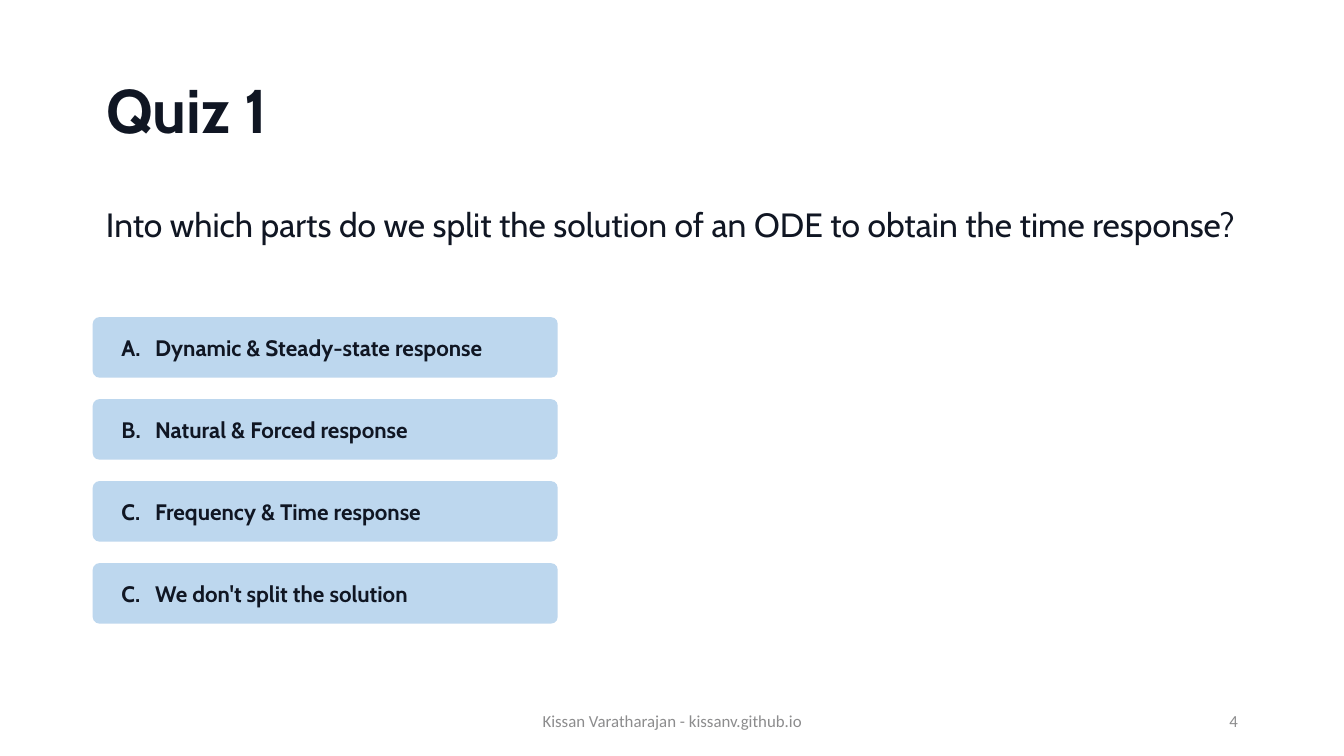
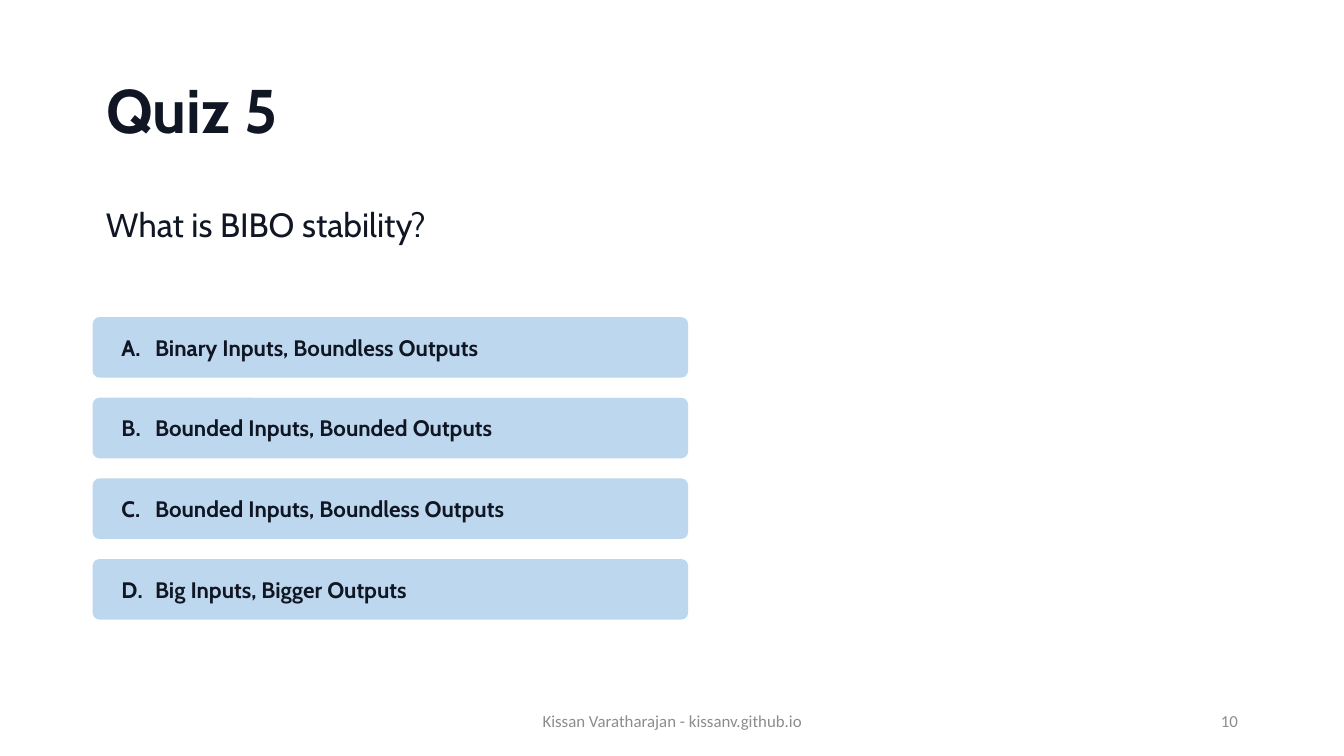
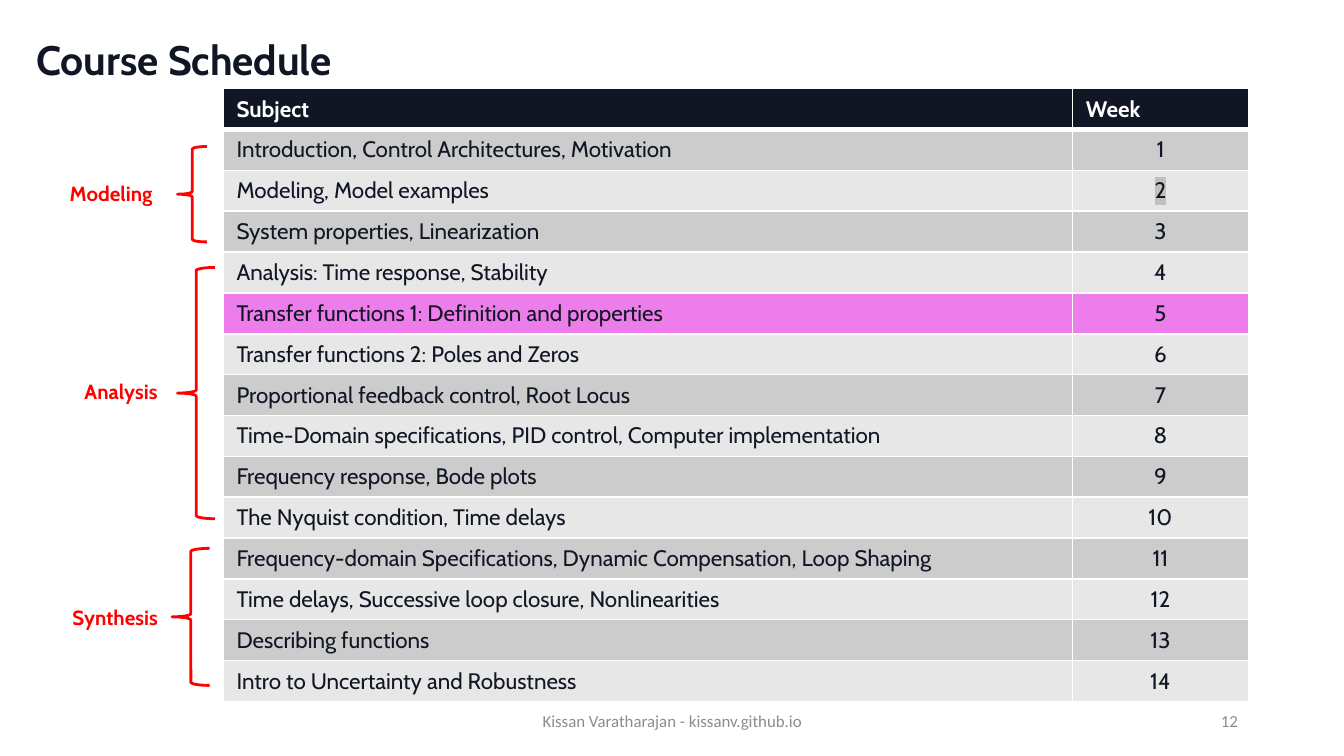
from dataclasses import dataclass

import pptx
import pptx.dml.color
import pptx.enum.shapes
import pptx.enum.text
import pptx.oxml.ns
import pptx.util
from lxml import etree

Inches = pptx.util.Inches
Pt = pptx.util.Pt
SHAPE = pptx.enum.shapes.MSO_SHAPE
ALIGN = pptx.enum.text.PP_ALIGN
ANCHOR = pptx.enum.text.MSO_ANCHOR
AUTO = pptx.enum.text.MSO_AUTO_SIZE
qn = pptx.oxml.ns.qn


@dataclass(frozen=True)
class Theme:
    font: str = "Cabin"
    footer_font: str = "Calibri"
    ink: str = "101623"
    white: str = "FFFFFF"
    muted: str = "8C8C8D"
    option: str = "BDD7EE"
    accent: str = "FF0000"
    band_dark: str = "CCCCCD"
    band_light: str = "E7E7E8"
    current: str = "ED7DEA"
    highlight: str = "C0C0C0"
    quiz_title: int = 33
    schedule_title: int = 22
    question: int = 18
    body: int = 12
    label: int = 11
    footer: int = 9


T = Theme()

SUBJECTS = [
    "Introduction, Control Architectures, Motivation",
    "Modeling, Model examples",
    "System properties, Linearization",
    "Analysis: Time response, Stability",
    "Transfer functions 1: Definition and properties",
    "Transfer functions 2: Poles and Zeros",
    "Proportional feedback control, Root Locus",
    "Time-Domain specifications, PID control, Computer implementation",
    "Frequency response, Bode plots",
    "The Nyquist condition, Time delays",
    "Frequency-domain Specifications, Dynamic Compensation, Loop Shaping",
    "Time delays, Successive loop closure, Nonlinearities",
    "Describing functions",
    "Intro to Uncertainty and Robustness",
]
CURRENT_WEEK = 5
MARKED_WEEK = 2

PHASES = [
    ("Modeling", (0.42, 1.3, 0.9, 0.29), (1.32, 1.09, 0.22, 0.71)),
    ("Analysis", (0.53, 2.77, 0.79, 0.29), (1.32, 1.99, 0.28, 1.87)),
    ("Synthesis", (0.44, 4.45, 0.88, 0.29), (1.28, 4.08, 0.28, 1.02)),
]


def rgb(color):
    return pptx.dml.color.RGBColor.from_string(color)


def box(at):
    return [Inches(v) for v in at]


def style(p, size, color=T.ink, bold=False, font=T.font, align=ALIGN.LEFT):
    p.alignment = align
    p.font.name = font
    p.font.size = Pt(size)
    p.font.bold = bold
    p.font.color.rgb = rgb(color)


def add_text(s, text, at, size, anchor=ANCHOR.TOP, wrap=True, **look):
    tf = s.shapes.add_textbox(*box(at)).text_frame
    tf.word_wrap = wrap
    tf.auto_size = AUTO.NONE if wrap else AUTO.SHAPE_TO_FIT_TEXT
    tf.vertical_anchor = anchor
    p = tf.paragraphs[0]
    p.text = text
    style(p, size, **look)
    return p


def add_slide(prs, title, number, size, left, top):
    s = prs.slides.add_slide(prs.slide_layouts[5])
    sp = s.shapes.title
    sp.left, sp.top, sp.width, sp.height = box((left, top, 8.62, 1.09))
    tf = sp.text_frame
    tf.auto_size = AUTO.NONE
    tf.vertical_anchor = ANCHOR.MIDDLE
    p = tf.paragraphs[0]
    p.text = title
    p.line_spacing = 0.9
    style(p, size, bold=True)
    footers = [
        ("Kissan Varatharajan - kissanv.github.io", 3.31, 3.38, ALIGN.CENTER),
        (str(number), 7.06, 2.25, ALIGN.RIGHT),
    ]
    for text, x, width, align in footers:
        add_text(s, text, (x, 5.21, width, 0.3), T.footer, ANCHOR.MIDDLE,
                 color=T.muted, font=T.footer_font, align=align)
    return s


def add_option(s, letter, answer, at):
    sp = s.shapes.add_shape(SHAPE.ROUNDED_RECTANGLE, *box(at))
    sp.adjustments[0] = 0.11
    sp.shadow.inherit = False
    sp.fill.solid()
    sp.fill.fore_color.rgb = rgb(T.option)
    sp.line.fill.background()
    tf = sp.text_frame
    tf.margin_left = Inches(0.2)
    tf.vertical_anchor = ANCHOR.MIDDLE
    p = tf.paragraphs[0]
    p.text = f"{letter}.\t{answer}"
    tabs = etree.SubElement(p._p.get_or_add_pPr(), qn("a:tabLst"))
    etree.SubElement(tabs, qn("a:tab"), pos=str(Inches(0.25)), algn="l")
    style(p, T.body, bold=True)


def add_quiz(prs, number, page, question, options, width, pitch):
    s = add_slide(prs, f"Quiz {number}", page, T.quiz_title, 0.69, 0.3)
    p = add_text(s, question, (0.69, 1.5, 8.62, 3.57), T.question)
    p.line_spacing = 0.9
    for i, (letter, answer) in enumerate(options):
        add_option(s, letter, answer, (0.69, 2.36 + i * pitch, width, 0.45))


def set_borders(cell, top=1, bottom=1):
    tcPr = cell._tc.get_or_add_tcPr()
    for side, width in (("L", 1), ("R", 1), ("T", top), ("B", bottom)):
        ln = etree.SubElement(tcPr, qn(f"a:ln{side}"), w=str(Pt(width)))
        fill = etree.SubElement(ln, qn("a:solidFill"))
        etree.SubElement(fill, qn("a:srgbClr"), val=T.white)


def highlight(r):
    mark = etree.SubElement(r._r.get_or_add_rPr(), qn("a:highlight"))
    etree.SubElement(mark, qn("a:srgbClr"), val=T.highlight)


def row_fill(week):
    if week == 0:
        return T.ink
    if week == CURRENT_WEEK:
        return T.current
    return T.band_dark if week % 2 else T.band_light


def add_schedule(s):
    rows = [("Subject", "Week")]
    rows += [(name, str(week)) for week, name in enumerate(SUBJECTS, 1)]
    at = box((1.66, 0.66, 7.63, 4.5))
    table = s.shapes.add_table(len(rows), 2, *at).table
    table.columns[0].width = Inches(6.32)
    table.columns[1].width = Inches(1.31)
    for week, row in enumerate(rows):
        header = week == 0
        for col, text in enumerate(row):
            cell = table.cell(week, col)
            set_borders(cell, top=3 if week == 1 else 1, bottom=3 if header else 1)
            cell.fill.solid()
            cell.fill.fore_color.rgb = rgb(row_fill(week))
            p = cell.text_frame.paragraphs[0]
            p.text = text
            style(p, T.body, T.white if header else T.ink, bold=header,
                  align=ALIGN.CENTER if col and not header else ALIGN.LEFT)
    highlight(table.cell(MARKED_WEEK, 1).text_frame.paragraphs[0].runs[0])


def add_phase(s, name, label_at, brace_at):
    add_text(s, name, label_at, T.label, wrap=False, color=T.accent, bold=True)
    sp = s.shapes.add_shape(SHAPE.LEFT_BRACE, *box(brace_at))
    sp.shadow.inherit = False
    sp.fill.background()
    sp.line.color.rgb = rgb(T.accent)
    sp.line.width = Pt(1.5)


def main():
    prs = pptx.Presentation()
    prs.slide_width = Inches(10)
    prs.slide_height = Inches(10 * 9 / 16)

    add_quiz(prs, 1, 4,
             "Into which parts do we split the solution of an ODE to obtain the time response?",
             [("A", "Dynamic & Steady-state response"),
              ("B", "Natural & Forced response"),
              ("C", "Frequency & Time response"),
              ("C", "We don't split the solution")],
             width=3.46, pitch=0.61)
    add_quiz(prs, 5, 10, "What is BIBO stability?",
             [("A", "Binary Inputs, Boundless Outputs"),
              ("B", "Bounded Inputs, Bounded Outputs"),
              ("C", "Bounded Inputs, Boundless Outputs"),
              ("D", "Big Inputs, Bigger Outputs")],
             width=4.43, pitch=0.6)

    s = add_slide(prs, "Course Schedule", 12, T.schedule_title, 0.17, -0.08)
    add_schedule(s)
    for phase in PHASES:
        add_phase(s, *phase)

    prs.save("out.pptx")


if __name__ == "__main__":
    main()
